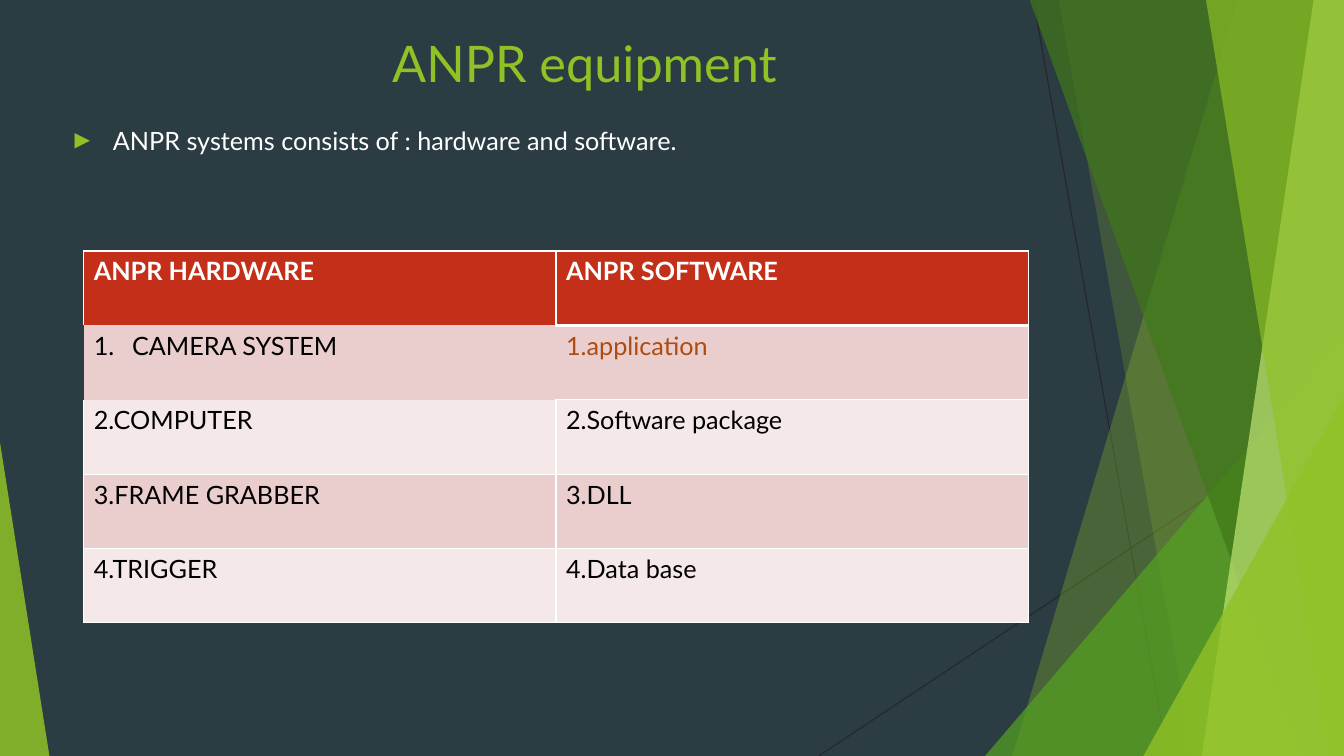
from lxml.etree import SubElement
from pptx import Presentation
from pptx.dml.color import RGBColor
from pptx.enum.shapes import MSO_CONNECTOR, MSO_SHAPE
from pptx.enum.text import MSO_ANCHOR, MSO_AUTO_SIZE, PP_ALIGN
from pptx.oxml.ns import qn
from pptx.util import Inches, Pt

COLORS = {
    "background": "2C3C43", "line": "262626", "lime": "90C226", "green": "54A021",
    "forest": "3F7819", "pale": "C0E474", "white": "FFFFFF", "black": "000000",
    "header": "C42F1A", "band": "EACDCD", "light": "F5E8E8", "rust": "AD4C12",
}
FONT = "Lato"


def style_text(para, size, color, bold=False):
    for span in para.runs:
        span.font.name = FONT
        span.font.size = Pt(size)
        span.font.bold = bold
        span.font.color.rgb = RGBColor.from_string(COLORS[color])


def style_facet(shape, color, opacity):
    shape.shadow.inherit = False
    shape.line.fill.background()
    shape.fill.solid()
    shape.fill.fore_color.rgb = RGBColor.from_string(COLORS[color])
    color_node = shape.fill._xPr.find(qn("a:solidFill"))[0]
    SubElement(color_node, qn("a:alpha"), val=str(opacity * 1000))


deck = Presentation()
deck.slide_width = Inches(13.33)
deck.slide_height = Inches(7.5)
page = deck.slides.add_slide(deck.slide_layouts[1])
page.background.fill.solid()
page.background.fill.fore_color.rgb = RGBColor.from_string(COLORS["background"])

for x1, y1, x2, y2 in [(10.25, 0, 11.58, 7.5), (13.33, 4.03, 8.12, 7.5)]:
    line = page.shapes.add_connector(
        MSO_CONNECTOR.STRAIGHT, Inches(x1), Inches(y1), Inches(x2), Inches(y2))
    line.line.color.rgb = RGBColor.from_string(COLORS["line"])
    line.line.width = Pt(0.75)
    SubElement(line._element.spPr, qn("a:effectLst"))

facets = [
    ("band", 12.28, 10.04, "lime", 30),
    ("band", 10.5, 11.83, "lime", 20),
    ("triangle", (9.77, 3.33, 3.56, 4.17), 1, "green", 72),
    ("band", 10.21, 12.91, "forest", 70),
    ("band", 13.03, 11.92, "pale", 70),
    ("band", 11.96, 13.18, "lime", 65),
    ("triangle", (11.34, 3.93, 1.99, 3.57), 1, "lime", 80),
    ("triangle", (0, 4.39, 0.49, 3.11), 0, "lime", 85),
]
for kind, first, second, color, opacity in facets:
    if kind == "band":
        outline = page.shapes.build_freeform(Inches(first), Inches(-0.01))
        corners = [(13.33, -0.01), (13.33, 7.5), (second, 7.5)]
        outline.add_line_segments([(Inches(x), Inches(y)) for x, y in corners])
        facet = outline.convert_to_shape()
    else:
        facet = page.shapes.add_shape(
            MSO_SHAPE.ISOSCELES_TRIANGLE, *[Inches(value) for value in first])
        facet.adjustments[0] = second
    style_facet(facet, color, opacity)

title = page.shapes.title
title.left, title.top, title.width, title.height = [
    Inches(value) for value in (1.39, 0.23, 9.26, 0.77)]
title.text_frame.text = "ANPR equipment"
title.text_frame.auto_size = MSO_AUTO_SIZE.NONE
title.text_frame.vertical_anchor = MSO_ANCHOR.MIDDLE
title.text_frame.margin_left = Inches(2.5)
title.text_frame.paragraphs[0].alignment = PP_ALIGN.LEFT
style_text(title.text_frame.paragraphs[0], 36, "lime")

body = page.placeholders[1]
body.left, body.top, body.width, body.height = [
    Inches(value) for value in (0.64, 1.19, 10.48, 5.31)]
body.text_frame.text = "ANPR systems consists of : hardware and software."
body.text_frame.auto_size = MSO_AUTO_SIZE.NONE
para = body.text_frame.paragraphs[0]
para.space_before = Pt(10)
style_text(para, 18, "white")
properties = para._p.get_or_add_pPr()
properties.set("marL", str(Inches(0.38)))
properties.set("indent", str(Inches(-0.38)))
bullet_color = SubElement(properties, qn("a:buClr"))
SubElement(bullet_color, qn("a:srgbClr"), val=COLORS["lime"])
SubElement(properties, qn("a:buSzPct"), val="80000")
SubElement(properties, qn("a:buFont"), typeface="DejaVu Sans")
SubElement(properties, qn("a:buChar"), char="▶")

rows = [
    ("ANPR HARDWARE", "ANPR SOFTWARE"),
    ("CAMERA SYSTEM", "1.application"),
    ("2.COMPUTER", "2.Software package"),
    ("3.FRAME GRABBER", "3.DLL"),
    ("4.TRIGGER", "4.Data base"),
]
borders = {
    (0, 0): {"L": 1, "R": 1, "T": 1},
    (0, 1): {"L": 1, "R": 1, "T": 1, "B": 3},
    (1, 0): {},
    (1, 1): {"R": 1, "T": 3, "B": 1},
    (2, 0): {"L": 1, "R": 1, "B": 1},
}
all_sides = {"L": 1, "R": 1, "T": 1, "B": 1}
table = page.shapes.add_table(
    len(rows), 2, Inches(0.83), Inches(2.49), Inches(9.37), Inches(3.69)).table
for row, texts in enumerate(rows):
    for column, text in enumerate(texts):
        cell = table.cell(row, column)
        cell.text_frame.text = text
        color = "white" if row == 0 else "rust" if (row, column) == (1, 1) else "black"
        style_text(cell.text_frame.paragraphs[0], 18, color, bold=row == 0)
        cell_properties = cell._tc.get_or_add_tcPr()
        widths = borders.get((row, column), all_sides)
        for side in "LRTB":
            edge = SubElement(cell_properties, qn(f"a:ln{side}"))
            if side in widths:
                edge.set("w", str(Pt(widths[side])))
                edge_fill = SubElement(edge, qn("a:solidFill"))
                SubElement(edge_fill, qn("a:srgbClr"), val=COLORS["white"])
            else:
                SubElement(edge, qn("a:noFill"))
        cell.fill.solid()
        fill = "header" if row == 0 else "band" if row % 2 else "light"
        cell.fill.fore_color.rgb = RGBColor.from_string(COLORS[fill])

numbered = table.cell(1, 0).text_frame.paragraphs[0]._p.get_or_add_pPr()
numbered.set("marL", str(Inches(0.38)))
numbered.set("indent", str(Inches(-0.38)))
SubElement(numbered, qn("a:buFont"), typeface="+mj-lt")
SubElement(numbered, qn("a:buAutoNum"), type="arabicPeriod")

deck.save("out.pptx")
